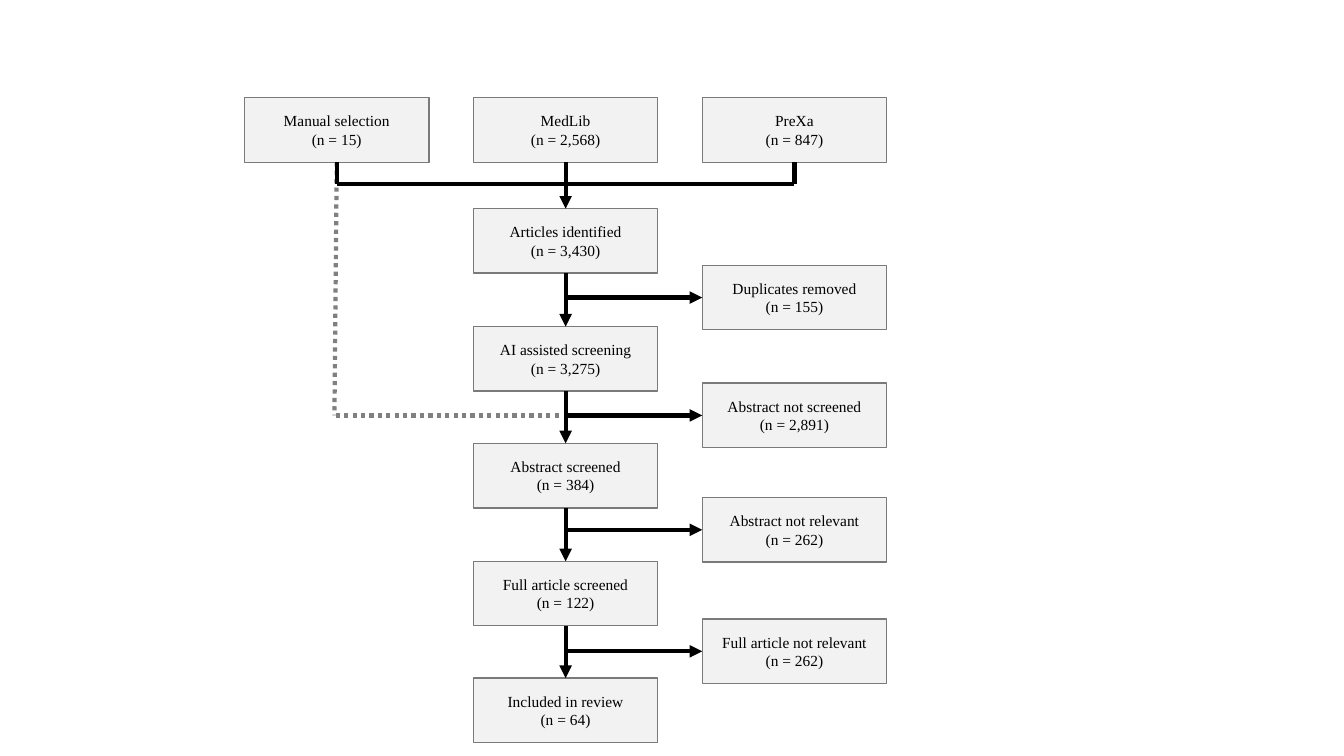
from dataclasses import dataclass
from typing import Optional, Union

from lxml.etree import SubElement
from pptx import Presentation
from pptx.dml.color import RGBColor
from pptx.enum.dml import MSO_LINE
from pptx.enum.shapes import MSO_CONNECTOR, MSO_SHAPE
from pptx.enum.text import MSO_ANCHOR, PP_ALIGN
from pptx.oxml.ns import qn
from pptx.util import Inches, Pt

COLORS = {"fill": "F2F2F2", "border": "7A7A7A", "ink": "000000", "dotted": "808080"}
FONT = "Times New Roman"
BOX_WIDTH, BOX_HEIGHT = 1.83, 0.64
FIRST_COLUMN, COLUMN_PITCH = 3.34, 2.27
FIRST_ROW, ROW_PITCH = 1.22, 1.17
TOP, LEFT, BOTTOM = 0, 1, 2
MAIN_COLUMN, SIDE_COLUMN = 1, 2
SOURCE_ROW, BUS_ROW = 0.06, 0.52


@dataclass(frozen=True)
class Stage:
    label: str
    count: str
    column: float
    row: float


@dataclass(frozen=True)
class Point:
    column: float
    row: float


@dataclass(frozen=True)
class Dock:
    box: object
    side: int


SOURCES = [
    Stage("Manual selection", "15", 0, SOURCE_ROW),
    Stage("MedLib", "2,568", 1, SOURCE_ROW),
    Stage("PreXa", "847", 2, SOURCE_ROW),
]
SCREENING = [
    Stage("Articles identified", "3,430", MAIN_COLUMN, 1),
    Stage("AI assisted screening", "3,275", MAIN_COLUMN, 2),
    Stage("Abstract screened", "384", MAIN_COLUMN, 2.99),
    Stage("Full article screened", "122", MAIN_COLUMN, 3.99),
    Stage("Included in review", "64", MAIN_COLUMN, 4.98),
]
EXCLUSIONS = [
    Stage("Duplicates removed", "155", SIDE_COLUMN, 1.48),
    Stage("Abstract not screened", "2,891", SIDE_COLUMN, 2.48),
    Stage("Abstract not relevant", "262", SIDE_COLUMN, 3.45),
    Stage("Full article not relevant", "262", SIDE_COLUMN, 4.48),
]


def color(name: str) -> RGBColor:
    return RGBColor.from_string(COLORS[name])


def column_x(column: float) -> float:
    return FIRST_COLUMN + column * COLUMN_PITCH


def row_y(row: float) -> float:
    return FIRST_ROW + row * ROW_PITCH


def write_text(frame, text: str, *, size: float = 11, ink: str = "ink",
               align=PP_ALIGN.CENTER, anchor=MSO_ANCHOR.MIDDLE) -> None:
    frame.word_wrap = True
    frame.vertical_anchor = anchor
    frame.text = text
    for paragraph in frame.paragraphs:
        paragraph.alignment = align
        for run in paragraph.runs:
            run.font.name = FONT
            run.font.size = Pt(size)
            run.font.color.rgb = color(ink)


def draw_stage(slide, stage: Stage):
    box = slide.shapes.add_shape(
        MSO_SHAPE.RECTANGLE,
        Inches(column_x(stage.column) - BOX_WIDTH / 2),
        Inches(row_y(stage.row) - BOX_HEIGHT / 2),
        Inches(BOX_WIDTH), Inches(BOX_HEIGHT),
    )
    box.shadow.inherit = False
    box.fill.solid()
    box.fill.fore_color.rgb = color("fill")
    box.line.color.rgb = color("border")
    box.line.width = Pt(1)
    write_text(box.text_frame, f"{stage.label}\n(n = {stage.count})")
    return box


def draw_link(slide, start: Union[Point, Dock], end: Union[Point, Dock], *,
              ink: str = "ink", dash: Optional[MSO_LINE] = None,
              arrow: bool = False) -> None:
    ends = []
    for place in (start, end):
        if isinstance(place, Point):
            ends += [Inches(column_x(place.column)), Inches(row_y(place.row))]
        else:
            ends += [0, 0]
    link = slide.shapes.add_connector(MSO_CONNECTOR.STRAIGHT, *ends)
    if isinstance(start, Dock):
        link.begin_connect(start.box, start.side)
    if isinstance(end, Dock):
        link.end_connect(end.box, end.side)
    link.line.color.rgb = color(ink)
    link.line.width = Pt(3)
    if dash is not None:
        link.line.dash_style = dash
    properties = link._element.spPr
    if arrow:
        SubElement(properties.find(qn("a:ln")), qn("a:tailEnd"), type="triangle")
    SubElement(properties, qn("a:effectLst"))


def main() -> None:
    presentation = Presentation()
    presentation.slide_width = Inches(13.33)
    presentation.slide_height = Inches(7.5)
    slide = presentation.slides.add_slide(presentation.slide_layouts[6])

    manual, database, preprints = [draw_stage(slide, stage) for stage in SOURCES]
    screening = [draw_stage(slide, stage) for stage in SCREENING]
    exclusions = [draw_stage(slide, stage) for stage in EXCLUSIONS]

    bypass_corner = Point(-0.01, EXCLUSIONS[1].row)
    bypass_end = Point(0.97, EXCLUSIONS[1].row)
    for start, end in ((Dock(manual, BOTTOM), bypass_corner), (bypass_end, bypass_corner)):
        draw_link(slide, start, end, ink="dotted", dash=MSO_LINE.ROUND_DOT)

    trunk = [database, *screening]
    for upper, lower in zip(trunk, trunk[1:]):
        draw_link(slide, Dock(upper, BOTTOM), Dock(lower, TOP), arrow=True)
    for stage, box in zip(EXCLUSIONS, exclusions):
        draw_link(slide, Point(MAIN_COLUMN, stage.row), Dock(box, LEFT), arrow=True)

    bus_start, bus_end = Point(0, BUS_ROW), Point(2, BUS_ROW)
    draw_link(slide, bus_start, bus_end)
    for source, corner in ((manual, bus_start), (preprints, bus_end)):
        draw_link(slide, Dock(source, BOTTOM), corner)

    presentation.save("out.pptx")


if __name__ == "__main__":
    main()
